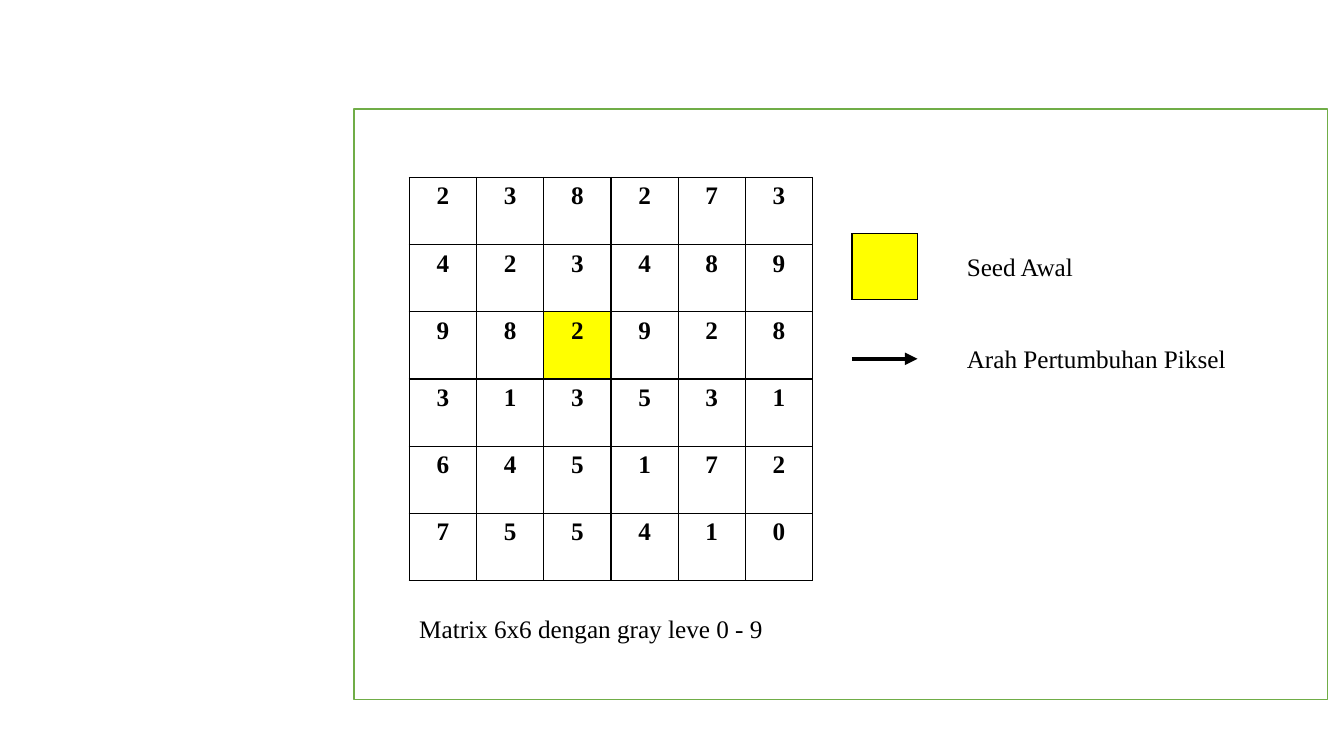
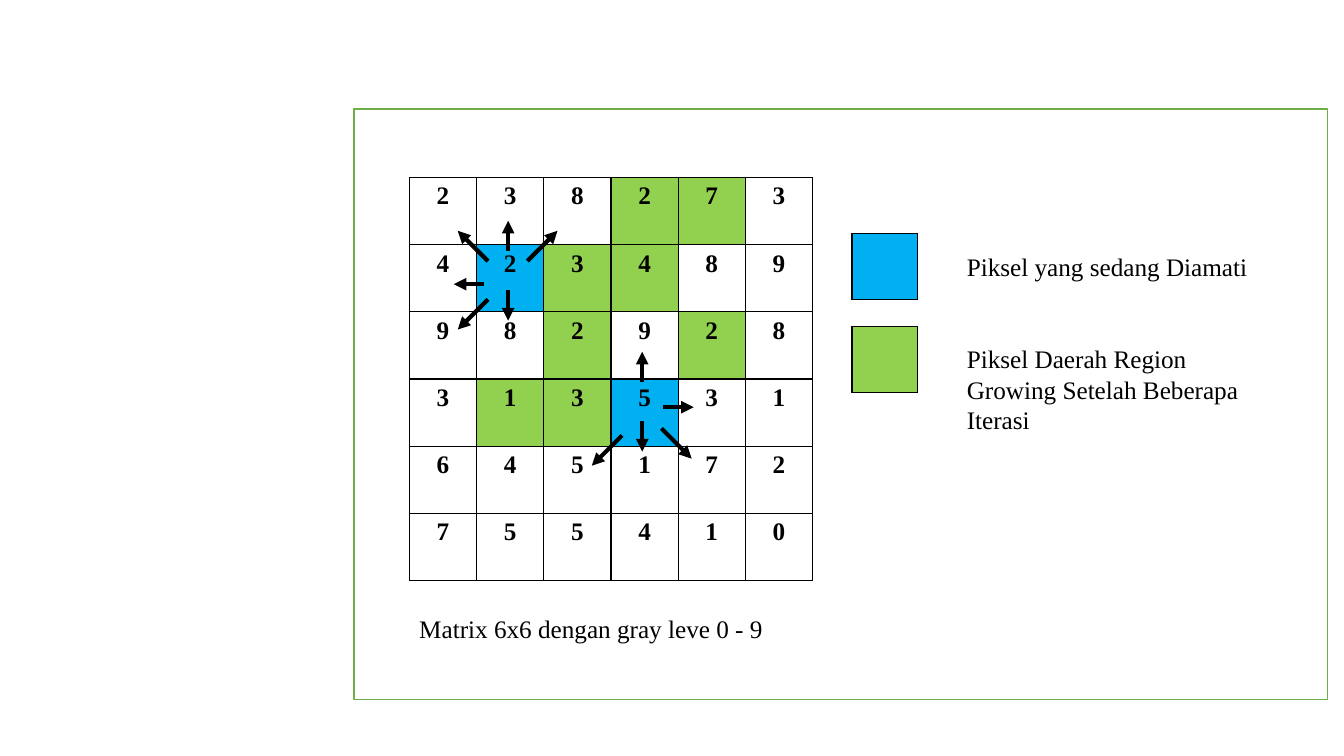
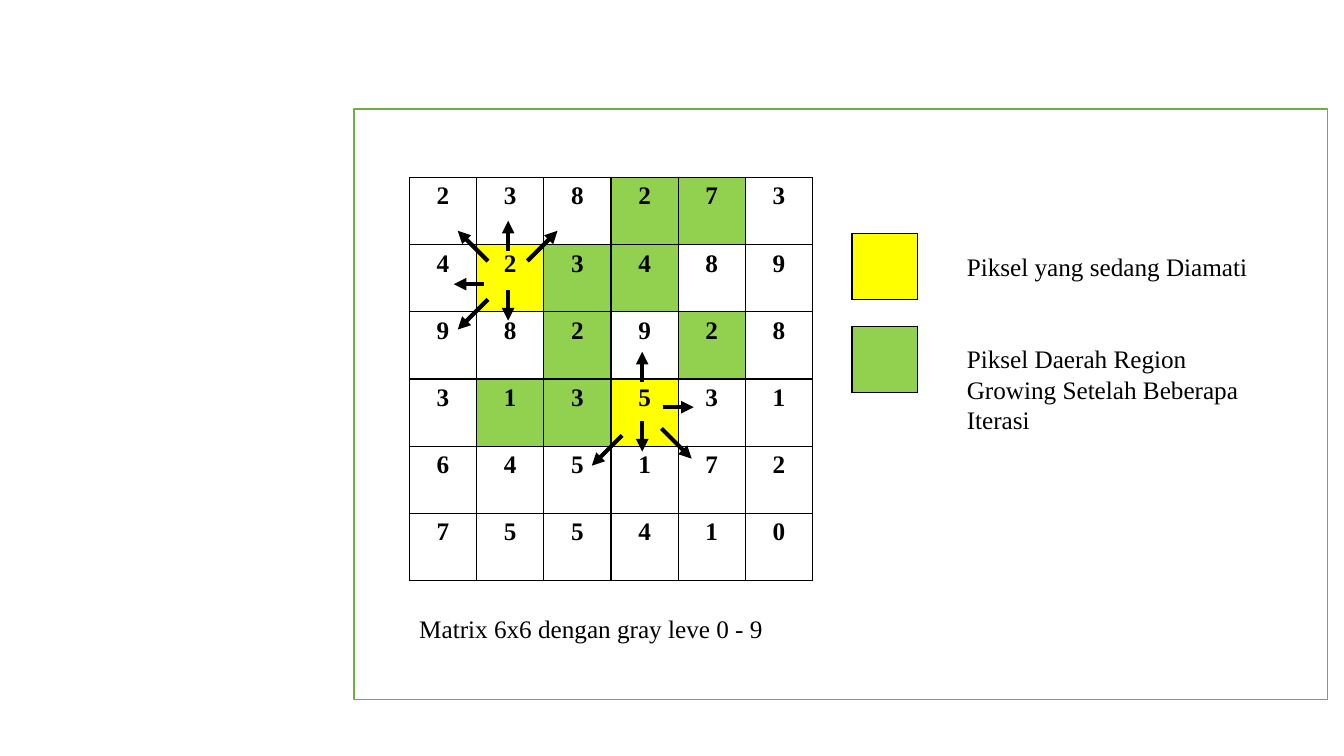
from dataclasses import dataclass

from lxml.etree import SubElement
from pptx import Presentation
from pptx.dml.color import RGBColor
from pptx.enum.shapes import MSO_CONNECTOR as Connector
from pptx.enum.shapes import MSO_SHAPE as Preset
from pptx.enum.text import MSO_AUTO_SIZE as AutoSize
from pptx.enum.text import PP_ALIGN as Align
from pptx.oxml.ns import qn
from pptx.util import Inches, Pt


@dataclass(frozen=True)
class Theme:
    font: str = "Times New Roman"
    text_size: int = 18
    thin: int = 1
    thick: int = 3
    black: str = "000000"
    white: str = "FFFFFF"
    frame: str = "70AD47"
    yellow: str = "FFFF00"
    green: str = "92D050"
    blue: str = "00B0F0"


THEME = Theme()

MATRIX = ["238273", "423489", "982928", "313531", "645172", "755410"]
SEED_MAP = ["......", "......", "..o...", "......", "......", "......"]
GROWTH_MAP = ["...gg.", ".ogg..", "..g.g.", ".ggo..", "......", "......"]

MATRIX_LEFT, MATRIX_TOP, MATRIX_SIZE = 4.06, 1.76, 4
LEGEND_LEFT, LEGEND_TOP, LEGEND_STEP = 8.45, 2.32, 0.92
SWATCH_SIZE = 0.65
LABEL_LEFT, LABEL_OFFSET, LABEL_WIDTH = 9.49, 0.12, 3.19
LINE_HEIGHT = 0.4
ARROW_LENGTH = 0.3

GROWTH_ARROWS = [
    (4.8, 2.82, -1, 0),
    (5.04, 2.49, 0, -1),
    (4.84, 2.59, -1, -1),
    (5.23, 2.59, 1, -1),
    (5.04, 2.88, 0, 1),
    (4.84, 2.97, -1, 1),
    (6.37, 3.79, 0, -1),
    (6.37, 4.18, 0, 1),
    (6.56, 4.25, 1, 1),
    (6.58, 4.04, 1, 0),
    (6.17, 4.32, -1, 1),
]


def rgb(color):
    return RGBColor.from_string(color)


def write_text(text_frame, text, bold=False, align=Align.LEFT):
    paragraph = text_frame.paragraphs[0]
    paragraph.alignment = align
    run = paragraph.add_run()
    run.text = text
    run.font.name = THEME.font
    run.font.size = Pt(THEME.text_size)
    run.font.bold = bold
    run.font.color.rgb = rgb(THEME.black)


def add_label(slide, text, left, top, width, height=LINE_HEIGHT):
    box = slide.shapes.add_textbox(
        Inches(left), Inches(top), Inches(width), Inches(height))
    box.text_frame.word_wrap = True
    box.text_frame.auto_size = AutoSize.SHAPE_TO_FIT_TEXT
    write_text(box.text_frame, text)


def add_frame(slide):
    shape = slide.shapes.add_shape(
        Preset.RECTANGLE, Inches(3.51), Inches(1.08), Inches(9.66), Inches(5.86))
    shape.shadow.inherit = False
    shape.fill.solid()
    shape.fill.fore_color.rgb = rgb(THEME.white)
    shape.line.color.rgb = rgb(THEME.frame)
    shape.line.width = Pt(THEME.thin)


def set_borders(cell):
    properties = cell._tc.get_or_add_tcPr()
    for side in ("a:lnL", "a:lnR", "a:lnT", "a:lnB"):
        border = SubElement(properties, qn(side), w=str(Pt(THEME.thin)))
        fill = SubElement(border, qn("a:solidFill"))
        SubElement(fill, qn("a:srgbClr"), val=THEME.black)


def add_grid(slide, left, top, size, values, fills):
    count = len(values)
    table = slide.shapes.add_table(
        count, count, Inches(left), Inches(top), Inches(size), Inches(size)).table
    table.first_row = False
    table.horz_banding = False
    for row, (row_values, row_fills) in enumerate(zip(values, fills)):
        table.rows[row].height = Inches(size / count)
        table.columns[row].width = Inches(size / count)
        for column, (value, color) in enumerate(zip(row_values, row_fills)):
            cell = table.cell(row, column)
            set_borders(cell)
            cell.fill.solid()
            cell.fill.fore_color.rgb = rgb(color)
            if value:
                write_text(cell.text_frame, value, bold=True, align=Align.CENTER)


def add_matrix(slide, color_map, observed):
    colors = {".": THEME.white, "g": THEME.green, "o": observed}
    fills = [[colors[key] for key in row] for row in color_map]
    add_grid(slide, MATRIX_LEFT, MATRIX_TOP, MATRIX_SIZE, MATRIX, fills)
    add_label(slide, "Matrix 6x6 dengan gray leve 0 - 9", MATRIX_LEFT, 6.04, MATRIX_SIZE)


def add_arrow(slide, left, top, across, down):
    arrow = slide.shapes.add_connector(
        Connector.STRAIGHT, Inches(left), Inches(top),
        Inches(left + across), Inches(top + down))
    arrow.line.color.rgb = rgb(THEME.black)
    arrow.line.width = Pt(THEME.thick)
    SubElement(arrow.line._get_or_add_ln(), qn("a:tailEnd"), type="triangle")
    SubElement(arrow._element.spPr, qn("a:effectLst"))


def add_swatch(slide, position, color):
    top = LEGEND_TOP + position * LEGEND_STEP
    add_grid(slide, LEGEND_LEFT, top, SWATCH_SIZE, [[""]], [[color]])


def add_legend_label(slide, position, text, width=LABEL_WIDTH, height=LINE_HEIGHT):
    top = LEGEND_TOP + position * LEGEND_STEP + LABEL_OFFSET
    add_label(slide, text, LABEL_LEFT, top, width, height)


def add_framed_slide(presentation):
    slide = presentation.slides.add_slide(presentation.slide_layouts[6])
    add_frame(slide)
    return slide


def add_seed_slide(presentation):
    slide = add_framed_slide(presentation)
    add_matrix(slide, SEED_MAP, THEME.yellow)
    add_swatch(slide, 0, THEME.yellow)
    add_legend_label(slide, 0, "Seed Awal", width=1.68)
    add_arrow(slide, LEGEND_LEFT, 3.56, SWATCH_SIZE, 0)
    add_legend_label(slide, 1, "Arah Pertumbuhan Piksel")


def add_growth_slide(presentation, observed):
    slide = add_framed_slide(presentation)
    add_matrix(slide, GROWTH_MAP, observed)
    add_swatch(slide, 0, observed)
    add_legend_label(slide, 0, "Piksel yang sedang Diamati")
    add_swatch(slide, 1, THEME.green)
    add_legend_label(
        slide, 1, "Piksel Daerah Region Growing Setelah Beberapa Iterasi", height=1.01)
    for left, top, across, down in GROWTH_ARROWS:
        add_arrow(slide, left, top, across * ARROW_LENGTH, down * ARROW_LENGTH)


def main():
    presentation = Presentation()
    presentation.slide_width = Inches(13.33)
    presentation.slide_height = Inches(7.5)
    add_seed_slide(presentation)
    for observed in (THEME.blue, THEME.yellow):
        add_growth_slide(presentation, observed)
    presentation.save("out.pptx")


main()
